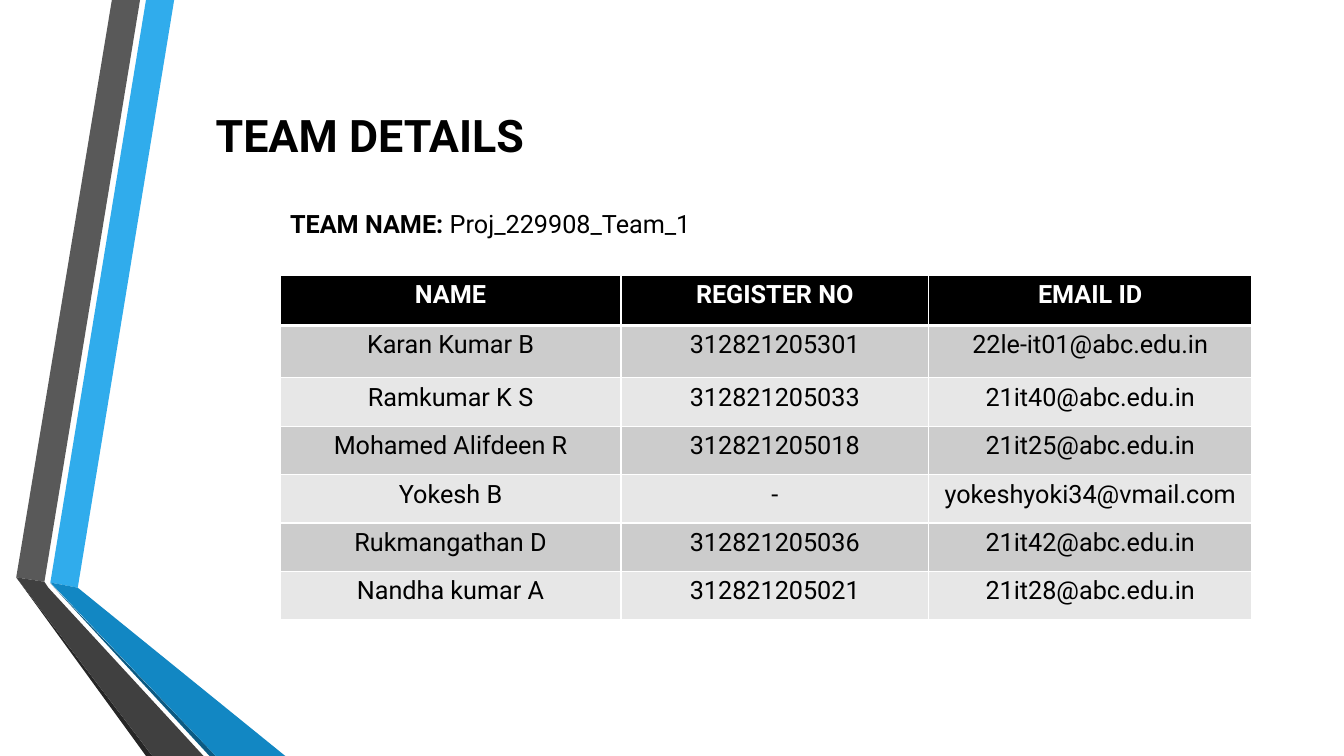
from pptx import Presentation
from pptx.dml.color import RGBColor
from pptx.enum.text import MSO_ANCHOR as Anchor, PP_ALIGN as Align
from pptx.oxml import parse_xml
from pptx.oxml.ns import nsdecls
from pptx.util import Cm, Pt

BLACK = RGBColor(0x00, 0x00, 0x00)
WHITE = RGBColor(0xFF, 0xFF, 0xFF)
ROW_DARK = RGBColor(0xCC, 0xCC, 0xCC)
ROW_LIGHT = RGBColor(0xE7, 0xE7, 0xE7)
SKY = RGBColor(0x30, 0xAC, 0xEC)
BLUE = RGBColor(0x12, 0x87, 0xC3)
NAVY = RGBColor(0x0C, 0x5A, 0x82)
GREY = RGBColor(0x59, 0x59, 0x59)
CHARCOAL = RGBColor(0x40, 0x40, 0x40)
SOOT = RGBColor(0x26, 0x26, 0x26)


def add_run(paragraph, text, size=18, bold=False, color=BLACK):
    run = paragraph.add_run()
    run.text = text
    for attribute, value in {"name": "Roboto", "size": Pt(size), "bold": bold}.items():
        setattr(run.font, attribute, value)
    run.font.color.rgb = color


def add_border(cell, side, width):
    cell._tc.get_or_add_tcPr().append(parse_xml(
        f'<a:{side} {nsdecls("a")} w="{Pt(width)}"><a:solidFill>'
        f'<a:srgbClr val="{WHITE}"/></a:solidFill></a:{side}>'))


prs = Presentation()
prs.slide_width, prs.slide_height = Cm(33.87), Cm(19.05)
slide = prs.slides.add_slide(prs.slide_layouts[6])
shapes = slide.shapes

# Folded ribbons on the left, corner points in cm
ribbons = [
    (SKY, [(1.27, 14.68), (1.96, 14.81), (4.39, 0), (3.68, 0)]),
    (GREY, [(3.53, 0), (2.82, 0), (0.41, 14.55), (1.12, 14.66)]),
    (SOOT, [(0.41, 14.55), (3.68, 19.05), (3.84, 19.05)]),
    (NAVY, [(1.27, 14.7), (5.28, 19.05), (5.44, 19.05)]),
    (BLUE, [(1.27, 14.68), (5.44, 19.05), (7.19, 19.05), (1.96, 14.81)]),
    (CHARCOAL, [(5.13, 19.05), (1.22, 14.81), (1.12, 14.66), (0.41, 14.55), (3.84, 19.05)]),
]
for color, corners in ribbons:
    start, *others = [(Cm(x), Cm(y)) for x, y in corners]
    builder = shapes.build_freeform(*start)
    builder.add_line_segments(others, close=True)
    ribbon = builder.convert_to_shape()
    ribbon.shadow.inherit = False
    ribbon.fill.solid()
    ribbon.fill.fore_color.rgb = color
    ribbon.line.fill.background()

# Title
title = shapes.add_textbox(Cm(1.22), Cm(2.44), Cm(16.21), Cm(1.9)).text_frame
title.word_wrap = True
title.vertical_anchor = Anchor.MIDDLE
title.paragraphs[0].alignment = Align.CENTER
add_run(title.paragraphs[0], "TEAM DETAILS", size=32, bold=True)

# Team name
team_name = shapes.add_textbox(Cm(7.06), Cm(5.13), Cm(12.04), Cm(1.02)).text_frame
team_name.word_wrap = True
add_run(team_name.paragraphs[0], "TEAM NAME: ", bold=True)
add_run(team_name.paragraphs[0], "Proj_229908_Team_1")

# Member table
members = [
    ("NAME", "REGISTER NO", "EMAIL ID"),
    ("Karan Kumar B", "312821205301", "22le-it01@abc.edu.in"),
    ("Ramkumar K S", "312821205033", "21it40@abc.edu.in"),
    ("Mohamed Alifdeen R", "312821205018", "21it25@abc.edu.in"),
    ("Yokesh B", "-", "yokeshyoki34@vmail.com"),
    ("Rukmangathan D", "312821205036", "21it42@abc.edu.in"),
    ("Nandha kumar A", "312821205021", "21it28@abc.edu.in"),
]
column_widths = [8.59, 7.75, 8.15]
row_heights = [1.27, 1.32] + [1.22] * 5
table = shapes.add_table(len(members), len(column_widths), Cm(7.06), Cm(6.93),
                         Cm(sum(column_widths)), Cm(sum(row_heights))).table
for column, width in zip(table.columns, column_widths):
    column.width = Cm(width)
for r, (member, height) in enumerate(zip(members, row_heights)):
    table.rows[r].height = Cm(height)
    header = r == 0
    row_fill = BLACK if header else ROW_DARK if r % 2 else ROW_LIGHT
    border_widths = {"lnL": 1, "lnR": 1, "lnT": 3 if r == 1 else 1, "lnB": 3 if header else 1}
    for c, text in enumerate(member):
        cell = table.cell(r, c)
        for side, width in border_widths.items():
            add_border(cell, side, width)
        cell.fill.solid()
        cell.fill.fore_color.rgb = row_fill
        paragraph = cell.text_frame.paragraphs[0]
        paragraph.alignment = Align.CENTER
        add_run(paragraph, text, bold=header, color=WHITE if header else BLACK)

prs.save("out.pptx")
